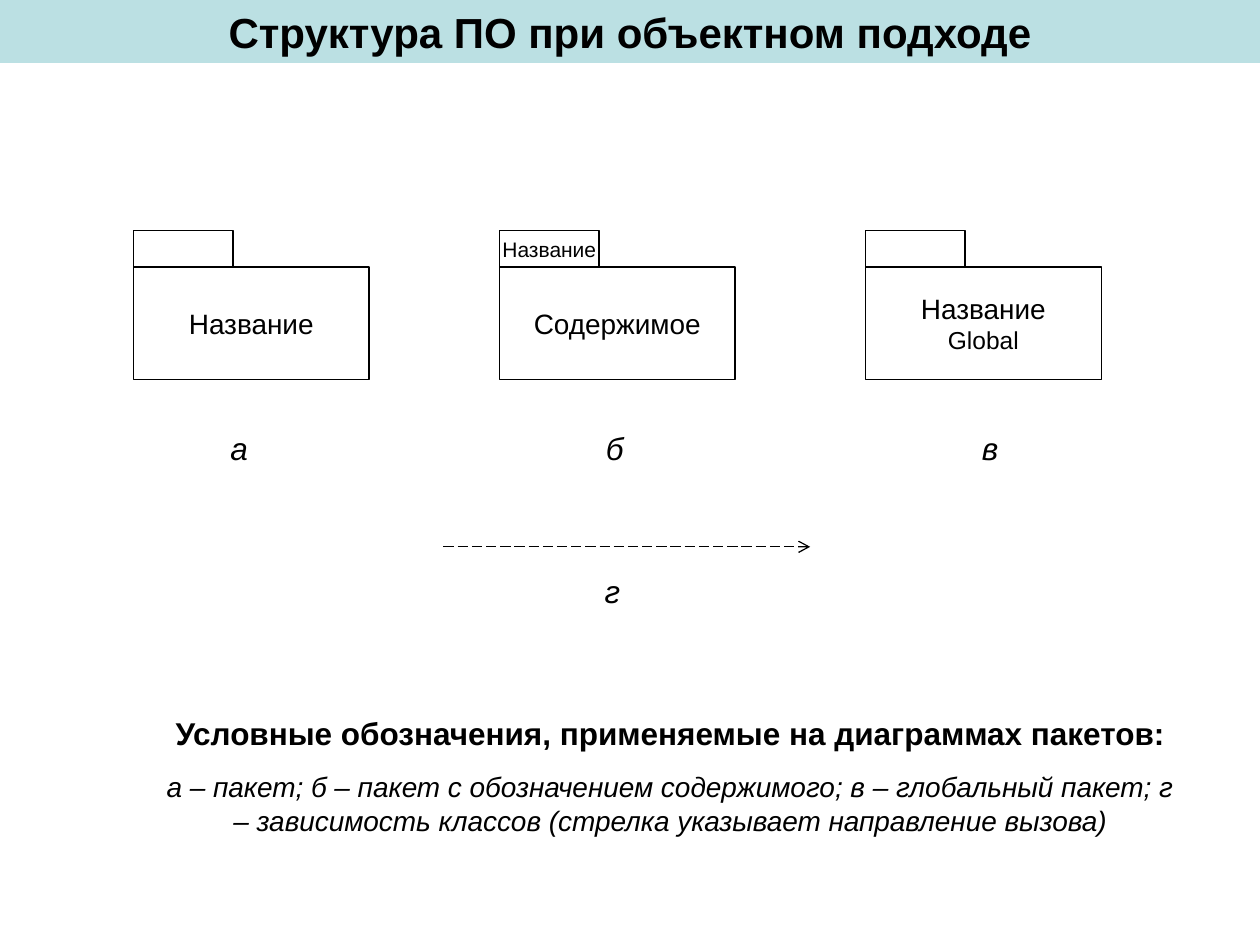
from lxml import etree
from pptx import Presentation
from pptx import util as u
from pptx.dml import color
from pptx.enum import dml, shapes, text
from pptx.oxml import ns

COLORS = {"band": "BBE0E3", "ink": "000000"}
FONT = "Arial"


def rgb(name):
    return color.RGBColor.from_string(COLORS[name])


def format_paragraph(paragraph, size, bold=False, italic=False,
                     align=text.PP_ALIGN.CENTER):
    paragraph.alignment = align
    for run in paragraph.runs:
        run.font.name = FONT
        run.font.size = u.Pt(size)
        run.font.bold = bold
        run.font.italic = italic
        run.font.color.rgb = rgb("ink")


def add_title(slide, left, top, width, height):
    title = slide.shapes.title
    title.left, title.top = u.Inches(left), u.Inches(top)
    title.width, title.height = u.Inches(width), u.Inches(height)
    title.fill.solid()
    title.fill.fore_color.rgb = rgb("band")
    frame = title.text_frame
    frame.text = "Структура ПО при объектном подходе"
    frame.auto_size = text.MSO_AUTO_SIZE.NONE
    frame.vertical_anchor = text.MSO_ANCHOR.MIDDLE
    format_paragraph(frame.paragraphs[0], 24, bold=True)


def add_outline(slide, left, top, width, height, lines):
    outline = slide.shapes.add_shape(
        shapes.MSO_SHAPE.RECTANGLE, u.Inches(left), u.Inches(top),
        u.Inches(width), u.Inches(height))
    outline.shadow.inherit = False
    outline.fill.background()
    outline.line.color.rgb = rgb("ink")
    outline.line.width = u.Pt(0.75)
    frame = outline.text_frame
    frame.word_wrap = False
    frame.vertical_anchor = text.MSO_ANCHOR.MIDDLE
    frame.text = "\n".join(words for words, _ in lines)
    for paragraph, (_, size) in zip(frame.paragraphs, lines):
        format_paragraph(paragraph, size)


def add_package(slide, left, top, width, height, body, tab):
    tab_width, tab_height = 0.79, 0.29
    add_outline(slide, left, top + tab_height, width, height - tab_height, body)
    add_outline(slide, left, top, tab_width, tab_height, tab)


def add_text(slide, left, top, width, height, words):
    box = slide.shapes.add_textbox(u.Inches(left), u.Inches(top),
                                   u.Inches(width), u.Inches(height))
    box.text_frame.word_wrap = True
    box.text_frame.text = words
    return box.text_frame.paragraphs


def add_package_letters(slide, left, top, width, height):
    letters = add_text(slide, left, top, width, height, "\tа\tб\tв")[0]
    format_paragraph(letters, 18, italic=True, align=text.PP_ALIGN.LEFT)
    stops = etree.SubElement(letters._p.get_or_add_pPr(), ns.qn("a:tabLst"))
    for index in range(3):
        position = u.Inches(0.69 + 2.98 * index)
        etree.SubElement(stops, ns.qn("a:tab"), pos=str(position), algn="ctr")


def add_dependency(slide, left, top, width):
    arrow = slide.shapes.add_connector(
        shapes.MSO_CONNECTOR.STRAIGHT, u.Inches(left), u.Inches(top),
        u.Inches(left + width), u.Inches(top))
    arrow.line.color.rgb = rgb("ink")
    arrow.line.width = u.Pt(0.75)
    arrow.line.dash_style = dml.MSO_LINE.LONG_DASH
    etree.SubElement(arrow.line._get_or_add_ln(), ns.qn("a:tailEnd"), type="arrow")
    etree.SubElement(arrow._element.spPr, ns.qn("a:effectLst"))
    letter = add_text(slide, left + 1.18, top + 0.15, 0.44, 0.4, "г")[0]
    format_paragraph(letter, 18, italic=True, align=text.PP_ALIGN.LEFT)


def add_legend(slide, left, top, width, height):
    heading, notes = add_text(
        slide, left, top, width, height,
        "Условные обозначения, применяемые на диаграммах пакетов:\n"
        "а – пакет; б – пакет с обозначением содержимого; в – глобальный пакет; "
        "г – зависимость классов (стрелка указывает направление вызова)")
    format_paragraph(heading, 18, bold=True)
    format_paragraph(notes, 16, italic=True)
    notes.space_before = u.Pt(10)


def main():
    deck = Presentation()
    deck.slide_width, deck.slide_height = u.Inches(10), u.Inches(7.5)
    slide = deck.slides.add_slide(deck.slide_layouts.get_by_name("Title Only"))
    add_title(slide, 0, 0, 10, 0.5)
    packages = [
        ([("Название", 16)], []),
        ([("Содержимое", 16)], [("Название", 12)]),
        ([("Название", 16), ("Global", 14)], []),
    ]
    for index, (body, tab) in enumerate(packages):
        add_package(slide, 1.06 + 2.905 * index, 1.83, 1.87, 1.18, body, tab)
    add_package_letters(slide, 1.11, 3.36, 8.12, 0.4)
    add_dependency(slide, 3.52, 4.34, 2.91)
    add_legend(slide, 1.21, 5.62, 8.22, 1.07)
    deck.save("out.pptx")


if __name__ == "__main__":
    main()
